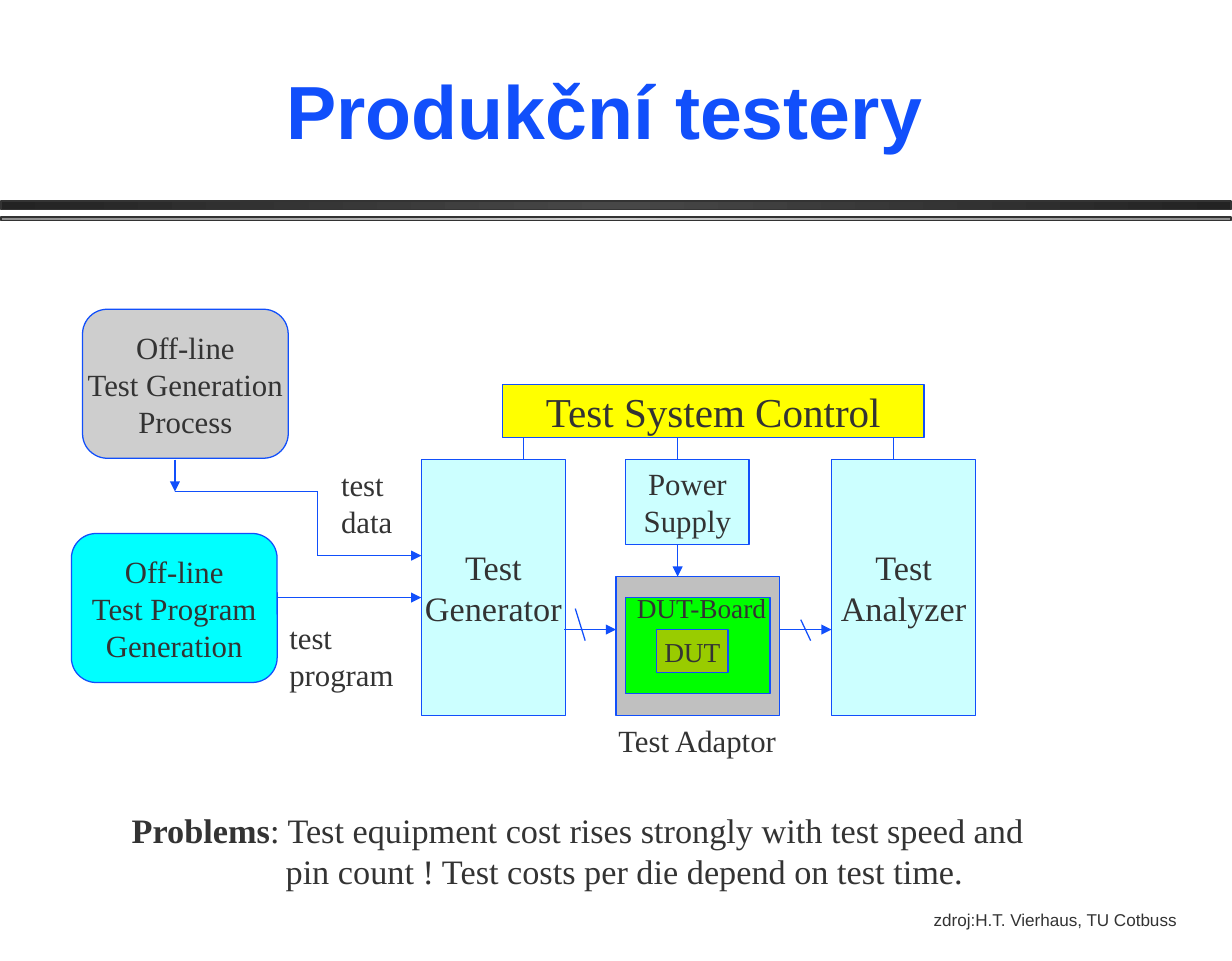
"""Build a slide showing the block diagram of a production test system."""

from copy import deepcopy
from dataclasses import dataclass

from pptx import Presentation
from pptx.dml.color import RGBColor
from pptx.enum.shapes import MSO_CONNECTOR, MSO_SHAPE
from pptx.enum.text import MSO_ANCHOR, MSO_AUTO_SIZE, PP_ALIGN
from pptx.oxml.ns import qn
from pptx.oxml.xmlchemy import OxmlElement
from pptx.util import Inches, Pt

RECT, ROUNDED = MSO_SHAPE.RECTANGLE, MSO_SHAPE.ROUNDED_RECTANGLE
STRAIGHT = MSO_CONNECTOR.STRAIGHT
TOP, MIDDLE, BOTTOM = MSO_ANCHOR.TOP, MSO_ANCHOR.MIDDLE, MSO_ANCHOR.BOTTOM
LEFT, CENTER = PP_ALIGN.LEFT, PP_ALIGN.CENTER
NO_FIT = MSO_AUTO_SIZE.NONE

BLUE = RGBColor(0x11, 0x4F, 0xFB)
INK = RGBColor(0x33, 0x33, 0x33)
SILVER = RGBColor(0xCE, 0xCE, 0xCE)
GRAY = RGBColor(0xC0, 0xC0, 0xC0)
MID_GRAY = RGBColor(0x90, 0x90, 0x90)
CHARCOAL = RGBColor(0x47, 0x47, 0x47)
BLACK = RGBColor(0x23, 0x23, 0x23)
PALE_CYAN = RGBColor(0xCC, 0xFF, 0xFF)
CYAN = RGBColor(0x00, 0xFF, 0xFF)
GREEN = RGBColor(0x00, 0xFF, 0x00)
OLIVE = RGBColor(0x99, 0xCC, 0x00)
YELLOW = RGBColor(0xFF, 0xFF, 0x00)

SERIF, SANS = "Times New Roman", "Arial"
ROW_TOP, UNIT_WIDTH, UNIT_HEIGHT = 3.73, 1.17, 2.08
BUS_BOTTOM = 3.55


@dataclass(frozen=True)
class Block:
    left: float
    top: float
    width: float
    height: float
    fill: RGBColor
    lines: tuple[str, ...] = ()
    size: int = 18
    kind: int = RECT


@dataclass(frozen=True)
class Label:
    left: float
    top: float
    width: float
    height: float
    lines: tuple[str, ...]
    size: int = 18
    font: str = SERIF
    color: RGBColor = INK
    bold: bool = False
    align: PP_ALIGN = LEFT
    anchor: MSO_ANCHOR = TOP
    lead: str = ""
    hanging: float = 0


@dataclass(frozen=True)
class Wire:
    x1: float
    y1: float
    x2: float
    y2: float
    arrow: bool = False


@dataclass(frozen=True)
class Rule:
    top: float
    height: float
    edge: RGBColor
    center: RGBColor


RULES = (Rule(1.63, 0.07, BLACK, CHARCOAL), Rule(1.76, 0.03, MID_GRAY, SILVER))

BLOCKS = (
    Block(0.67, 2.51, 1.67, 1.21, SILVER, ("Off-line", "Test Generation", "Process"), kind=ROUNDED),
    Block(0.58, 4.33, 1.67, 1.21, CYAN, ("Off-line", "Test Program", "Generation"), kind=ROUNDED),
    Block(3.42, ROW_TOP, UNIT_WIDTH, UNIT_HEIGHT, PALE_CYAN, ("Test", "Generator"), 20),
    Block(6.75, ROW_TOP, UNIT_WIDTH, UNIT_HEIGHT, PALE_CYAN, ("Test", "Analyzer"), 20),
    Block(5.08, ROW_TOP, 1, 0.69, PALE_CYAN, ("Power", "Supply")),
    Block(4.08, 3.12, 3.42, 0.43, YELLOW, ("Test System Control",), 24),
    Block(5, 4.68, 1.33, 1.13, GRAY),
    Block(5.08, 4.85, 1.17, 0.78, GREEN),
    Block(5.33, 5.11, 0.58, 0.35, OLIVE, ("DUT",), 16),
)

WIRES = (
    *(Wire(x, BUS_BOTTOM, x, ROW_TOP) for x in (4.25, 5.5, 7.25)),
    Wire(1.42, ROW_TOP, 1.42, 3.99, True),
    Wire(1.42, 3.99, 2.58, 3.99),
    Wire(2.58, 3.99, 2.58, 4.51),
    Wire(2.58, 4.51, 3.42, 4.51, True),
    Wire(2.25, 4.85, 3.42, 4.85, True),
    Wire(5.5, 4.42, 5.5, 4.68, True),
    Wire(4.58, 5.11, 5, 5.11, True),
    Wire(4.67, 4.94, 4.75, 5.2),
    Wire(6.33, 5.11, 6.75, 5.11, True),
    Wire(6.5, 5.03, 6.58, 5.2),
)

LABELS = (
    Label(0.66, 0, 8.5, 1.3, ("Produkční testery",), 44, SANS, BLUE, True, CENTER, BOTTOM),
    Label(2.67, 3.73, 0.7, 0.7, ("test", "data")),
    Label(2.25, 4.97, 1.12, 0.7, ("test", "program")),
    Label(4.92, 5.81, 1.55, 0.4, ("Test Adaptor",)),
    Label(5.07, 4.75, 1.32, 0.37, ("DUT-Board",), 16),
    Label(0.97, 6.52, 7.55, 0.77,
          (": Test equipment cost rises strongly with test speed and",
           "pin count ! Test costs per die depend on test time."),
          20, lead="Problems", hanging=1.25),
    Label(7.48, 7.33, 2.52, 0.47, ("zdroj:H.T. Vierhaus, TU Cotbuss",), 10, SANS),
)


def apply(target, values: dict) -> None:
    """Set each named attribute on the target."""
    for name, value in values.items():
        setattr(target, name, value)


def add_span(para, text: str, font: str, size: int, color: RGBColor, bold: bool) -> None:
    """Append one formatted run to a paragraph."""
    span = para.add_run()
    span.text = text
    apply(span.font, {"name": font, "size": Pt(size), "bold": bold})
    span.font.color.rgb = color


def write_text(box, label: Label, wrap: bool) -> None:
    """Fill a shape with the label's lines."""
    frame = box.text_frame
    apply(frame, {"word_wrap": wrap, "auto_size": NO_FIT, "vertical_anchor": label.anchor})
    for index, line in enumerate(label.lines):
        para = frame.add_paragraph() if index else frame.paragraphs[0]
        para.alignment = label.align
        if index and label.hanging:
            para._p.get_or_add_pPr().set("marL", str(Inches(label.hanging)))
        if label.lead and not index:
            add_span(para, label.lead, label.font, label.size, label.color, True)
        add_span(para, line, label.font, label.size, label.color, label.bold)


def place(item: Block | Label) -> tuple:
    """Return the item's position and size as lengths."""
    return tuple(Inches(value) for value in (item.left, item.top, item.width, item.height))


def draw_rule(page, rule: Rule) -> None:
    """Draw a full-width bar that shades from its edges to its center."""
    bar = page.shapes.add_shape(RECT, Inches(0.01), Inches(rule.top), Inches(9.98), Inches(rule.height))
    bar.shadow.inherit = False
    bar.line.color.rgb = INK
    bar.line.width = Pt(1)
    bar.fill.gradient()
    bar.fill.gradient_angle = 0
    stop_list = bar._element.spPr.find(qn("a:gradFill")).find(qn("a:gsLst"))
    stop_list.append(deepcopy(stop_list[-1]))
    colors = (rule.edge, rule.center, rule.edge)
    for index, (stop, color) in enumerate(zip(bar.fill.gradient_stops, colors)):
        stop.position = index / 2
        stop.color.rgb = color


def draw_block(page, block: Block) -> None:
    """Draw one filled block with centred text."""
    box = page.shapes.add_shape(block.kind, *place(block))
    box.shadow.inherit = False
    box.fill.solid()
    box.fill.fore_color.rgb = block.fill
    box.line.color.rgb = BLUE
    box.line.width = Pt(0.75)
    text = Label(*place(block), block.lines, block.size, align=CENTER, anchor=MIDDLE)
    write_text(box, text, wrap=False)


def draw_wire(page, wire: Wire) -> None:
    """Draw one straight line, with an arrowhead at its end if asked."""
    ends = (Inches(value) for value in (wire.x1, wire.y1, wire.x2, wire.y2))
    connector = page.shapes.add_connector(STRAIGHT, *ends)
    connector.line.color.rgb = BLUE
    connector.line.width = Pt(0.75)
    if wire.arrow:
        head = OxmlElement("a:tailEnd")
        head.set("type", "triangle")
        connector.line._get_or_add_ln().append(head)
    connector._element.spPr.append(OxmlElement("a:effectLst"))


def draw_label(page, label: Label) -> None:
    """Draw one free-standing text."""
    write_text(page.shapes.add_textbox(*place(label)), label, wrap=True)


def main() -> None:
    """Build the deck and save it."""
    deck = Presentation()
    apply(deck, {"slide_width": Inches(10), "slide_height": Inches(7.8)})
    page = deck.slides.add_slide(deck.slide_layouts[6])
    for draw, items in ((draw_rule, RULES), (draw_block, BLOCKS), (draw_wire, WIRES), (draw_label, LABELS)):
        for item in items:
            draw(page, item)
    deck.save("out.pptx")


if __name__ == "__main__":
    main()
